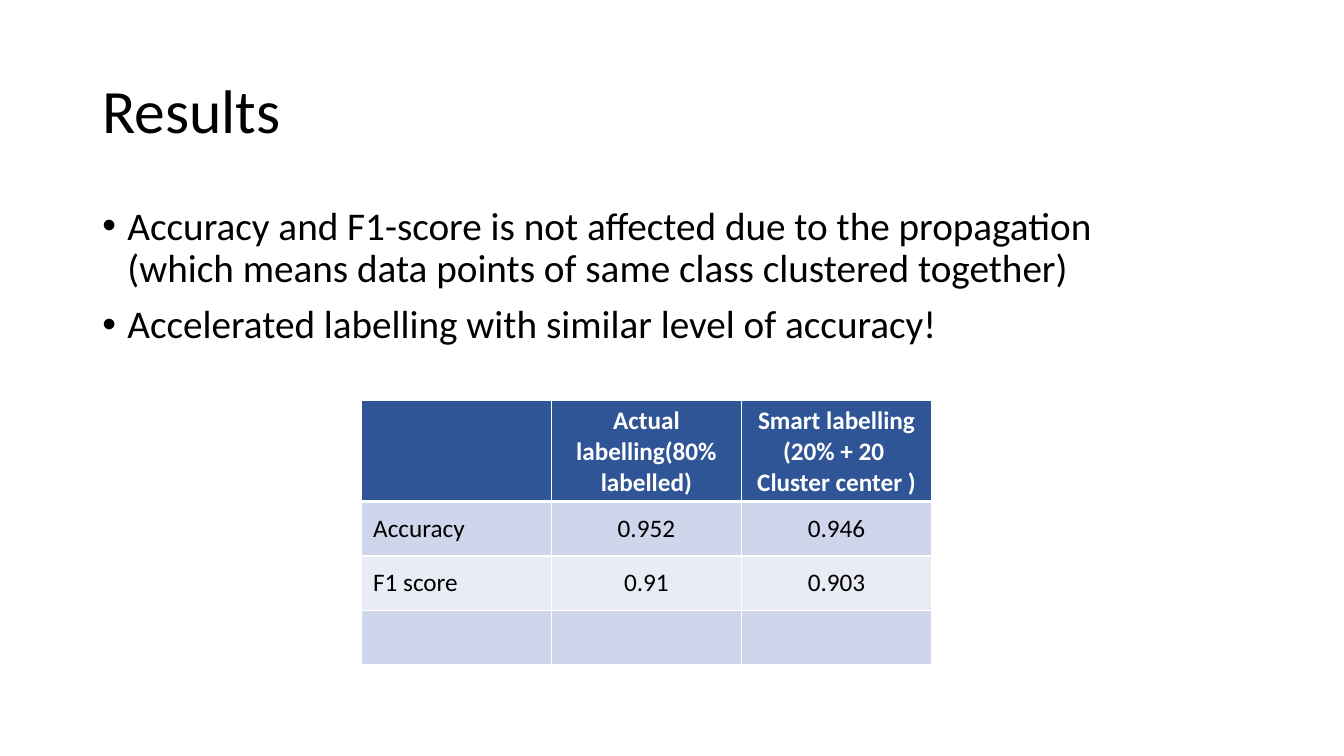
"""Build the Results slide: a title, two bullets and a table of scores."""
from lxml import etree
from pptx import Presentation
from pptx.dml.color import RGBColor
from pptx.enum.text import MSO_ANCHOR as Anchor, PP_ALIGN as Align
from pptx.oxml.ns import qn
from pptx.util import Pt

BLACK = RGBColor(0x00, 0x00, 0x00)
WHITE = RGBColor(0xFF, 0xFF, 0xFF)
HEADER_BLUE = RGBColor(0x2F, 0x55, 0x97)
BAND_DARK = RGBColor(0xCF, 0xD5, 0xEA)
BAND_LIGHT = RGBColor(0xE9, 0xEB, 0xF5)

BULLETS = [
    "Accuracy and F1-score is not affected due to the propagation "
    "(which means data points of same class clustered together)",
    "Accelerated labelling with similar level of accuracy!",
]
SCORES = [
    ["", "Actual labelling(80% labelled)", "Smart labelling\n(20% + 20 \nCluster center )"],
    ["Accuracy", "0.952", "0.946"],
    ["F1 score", "0.91", "0.903"],
    ["", "", ""],
]
ROW_FILLS = [HEADER_BLUE, BAND_DARK, BAND_LIGHT, BAND_DARK]
HEADER_HEIGHT, ROW_HEIGHT, COLUMN_WIDTH = 72, 38.9, 135.8


def format_text(paragraph, size, color, bold=False):
    """Apply one font to every run of a paragraph."""
    for run in paragraph.runs:
        run.font.name = "Calibri"
        run.font.size = Pt(size)
        run.font.bold = bold
        run.font.color.rgb = color


def add_border(cell, side, width):
    """Draw one white edge of a table cell."""
    line = etree.SubElement(cell._tc.get_or_add_tcPr(), qn(f"a:ln{side}"), w=str(Pt(width)))
    fill = etree.SubElement(line, qn("a:solidFill"))
    etree.SubElement(fill, qn("a:srgbClr"), val=str(WHITE))


presentation = Presentation()
presentation.slide_width = Pt(960)
presentation.slide_height = Pt(540)
slide = presentation.slides.add_slide(presentation.slide_layouts[6])

title = slide.shapes.add_textbox(Pt(66), Pt(28.75), Pt(828), Pt(104.4)).text_frame
title.word_wrap = True
title.vertical_anchor = Anchor.MIDDLE
title.text = "Results"
title.paragraphs[0].line_spacing = 0.9
format_text(title.paragraphs[0], 44, BLACK)

body = slide.shapes.add_textbox(Pt(66), Pt(143.75), Pt(792), Pt(342.6)).text_frame
body.word_wrap = True
body.text = "\n".join(BULLETS)
for paragraph in body.paragraphs:
    paragraph.line_spacing = 0.9
    paragraph.space_before = Pt(10)
    format_text(paragraph, 28, BLACK)
    properties = paragraph._p.get_or_add_pPr()
    properties.set("marL", str(Pt(18)))
    properties.set("indent", str(Pt(-18)))
    etree.SubElement(properties, qn("a:buFont"), typeface="Arial")
    etree.SubElement(properties, qn("a:buChar"), char="•")

table = slide.shapes.add_table(
    len(SCORES), len(SCORES[0]), Pt(258.1), Pt(286.2),
    Pt(3 * COLUMN_WIDTH), Pt(HEADER_HEIGHT + 3 * ROW_HEIGHT),
).table
for column in table.columns:
    column.width = Pt(COLUMN_WIDTH)

for row_index, (row_texts, row_fill) in enumerate(zip(SCORES, ROW_FILLS)):
    is_header = row_index == 0
    table.rows[row_index].height = Pt(HEADER_HEIGHT if is_header else ROW_HEIGHT)
    for column_index, text in enumerate(row_texts):
        cell = table.cell(row_index, column_index)
        for side in "LRTB":
            header_edge = (is_header and side == "B") or (row_index == 1 and side == "T")
            add_border(cell, side, 3 if header_edge else 1)
        cell.fill.solid()
        cell.fill.fore_color.rgb = row_fill
        cell.vertical_anchor = Anchor.MIDDLE
        cell.margin_left = cell.margin_right = Pt(8.5)
        cell.margin_top = cell.margin_bottom = Pt(3.6)
        cell.text_frame.text = text
        for paragraph in cell.text_frame.paragraphs:
            paragraph.alignment = Align.CENTER if column_index else Align.LEFT
            format_text(paragraph, 18, WHITE if is_header else BLACK, is_header)

presentation.save("out.pptx")
